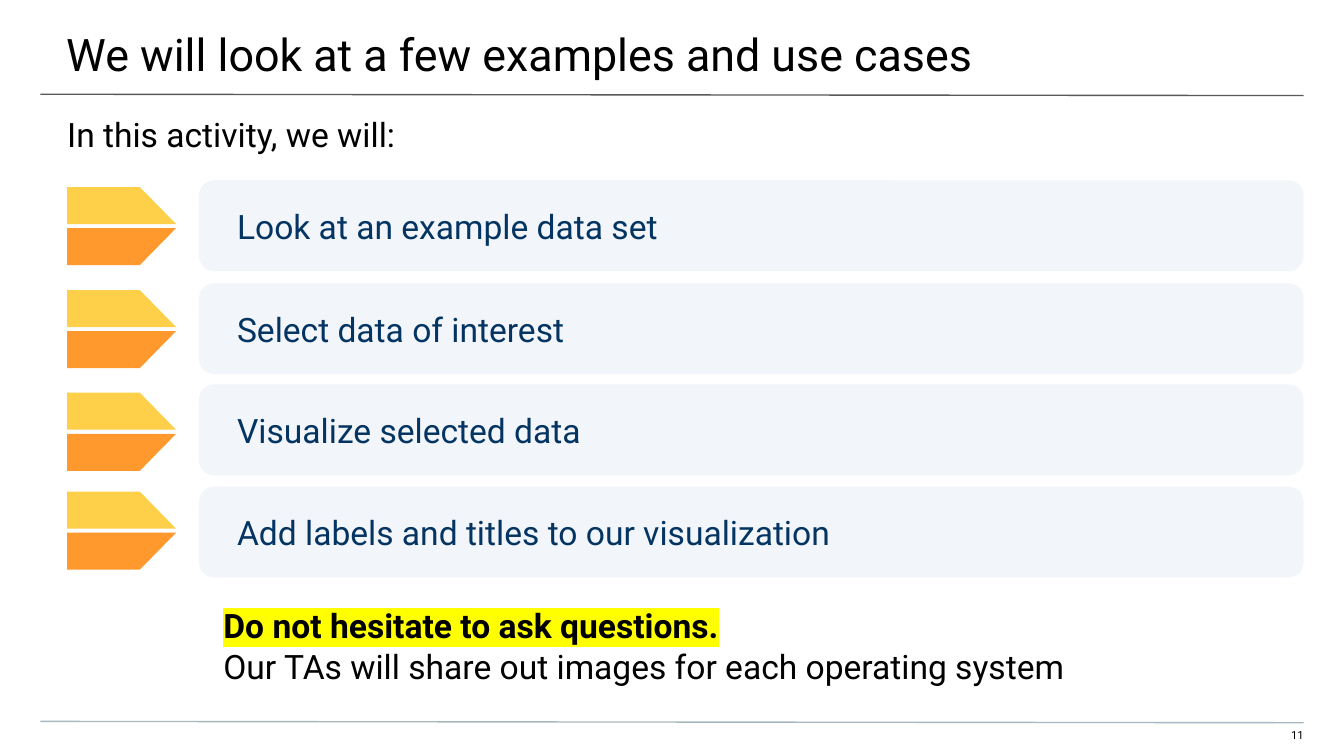
from lxml.etree import SubElement
from pptx import Presentation
from pptx.dml.color import RGBColor
from pptx.enum.shapes import MSO_CONNECTOR, MSO_SHAPE
from pptx.enum.text import MSO_ANCHOR, PP_ALIGN
from pptx.oxml.ns import qn
from pptx.util import Pt

BLACK = RGBColor(0x00, 0x00, 0x00)
NAVY = RGBColor(0x04, 0x34, 0x61)
PALE = RGBColor(0xF2, 0xF5, 0xF9)
YELLOW = RGBColor(0xFE, 0xCF, 0x48)
ORANGE = RGBColor(0xFF, 0x99, 0x2D)
GREY = RGBColor(0x59, 0x59, 0x59)
STEEL = RGBColor(0xA9, 0xB7, 0xC0)
MARKER = RGBColor(0xFF, 0xFF, 0x00)

STEPS = [
    ("Look at an example data set", 96.6, 100.2),
    ("Select data of interest", 151.8, 155.4),
    ("Visualize selected data", 206, 210.4),
    ("Add labels and titles to our visualization", 260.7, 263.4),
]
HALF_HEIGHT = 19.8
HALF_STEP = 22


class ActivitySlide:
    """Hold the style and the page, and draw each kind of element."""

    def __init__(self, deck):
        self.page = deck.slides.add_slide(deck.slide_layouts[6])
        self.style = {"name": "Roboto", "size": Pt(18), "bold": False}

    def span(self, para, text, color=BLACK, marker=None, **changes):
        span = para.add_run()
        span.text = text
        for key, value in {**self.style, **changes}.items():
            setattr(span.font, key, value)
        span.font.color.rgb = color
        if marker is not None:
            properties = span.font._element
            highlight = SubElement(properties, qn("a:highlight"))
            SubElement(highlight, qn("a:srgbClr"), val=str(marker))
            properties.find(qn("a:solidFill")).addnext(highlight)

    def frame(self, shape, insets, anchor=MSO_ANCHOR.TOP, align=PP_ALIGN.LEFT):
        frame = shape.text_frame
        sides = ("margin_left", "margin_top", "margin_right", "margin_bottom")
        values = dict(zip(sides, map(Pt, insets)))
        for key, value in {**values, "word_wrap": True, "vertical_anchor": anchor}.items():
            setattr(frame, key, value)
        para = frame.paragraphs[0]
        para.alignment = align
        return para

    def text(self, area, insets, align=PP_ALIGN.LEFT):
        box = self.page.shapes.add_textbox(*map(Pt, area))
        return self.frame(box, insets, align=align)

    def rule(self, start, end, color):
        rule = self.page.shapes.add_connector(MSO_CONNECTOR.STRAIGHT, *map(Pt, start + end))
        rule.line.color.rgb = color
        rule.line.width = Pt(0.75)
        SubElement(rule._element.spPr, qn("a:effectLst"))

    def paint(self, shape, color):
        shape.shadow.inherit = False
        shape.fill.solid()
        shape.fill.fore_color.rgb = color
        shape.line.fill.background()

    def bar(self, text, top):
        bar = self.page.shapes.add_shape(
            MSO_SHAPE.ROUNDED_RECTANGLE, Pt(106.6), Pt(top), Pt(591.8), Pt(48.7))
        bar.adjustments[0] = 0.167
        self.paint(bar, PALE)
        para = self.frame(bar, (18, 7.2, 7.2, 7.2), MSO_ANCHOR.MIDDLE)
        self.span(para, text, NAVY)

    def half_arrow(self, outer, inner, color):
        points = [(36, inner), (94.3, inner), (74.9, outer)]
        builder = self.page.shapes.build_freeform(Pt(36), Pt(outer))
        builder.add_line_segments([(Pt(x), Pt(y)) for x, y in points], close=True)
        self.paint(builder.convert_to_shape(), color)

    def arrow(self, top):
        self.half_arrow(top, top + HALF_HEIGHT, YELLOW)
        self.half_arrow(top + HALF_STEP + HALF_HEIGHT, top + HALF_STEP, ORANGE)


def main():
    deck = Presentation()
    deck.slide_width, deck.slide_height = Pt(720), Pt(405)
    slide = ActivitySlide(deck)

    number = slide.text((677.5, 390.2, 20.9, 8.6), (0, 0, 0, 7.2), PP_ALIGN.RIGHT)
    slide.span(number, "11", size=Pt(6))
    slide.rule((21.6, 50.5), (698.4, 51.2), GREY)
    slide.rule((21.6, 386.5), (698.4, 387.2), STEEL)

    title = slide.text((-0.5, 0, 722, 42), (36, 14.4, 21.6, 7.2))
    slide.span(title, "We will look at a few examples and use cases", size=Pt(24))
    intro = slide.text((0, 53.6, 720, 28.8), (36, 7.2, 36, 0))
    slide.span(intro, "In this activity, we will:")

    for text, bar_top, arrow_top in STEPS:
        slide.arrow(arrow_top)
        slide.bar(text, bar_top)

    closing = slide.text((-2.7, 324.2, 701, 62.4), (122.4, 0, 36, 0))
    closing.space_after = Pt(10)
    slide.span(closing, "Do not hesitate to ask questions.", marker=MARKER, bold=True)
    closing.add_line_break()
    slide.span(closing, "Our TAs will share out images for each operating system")

    deck.save("out.pptx")


if __name__ == "__main__":
    main()
